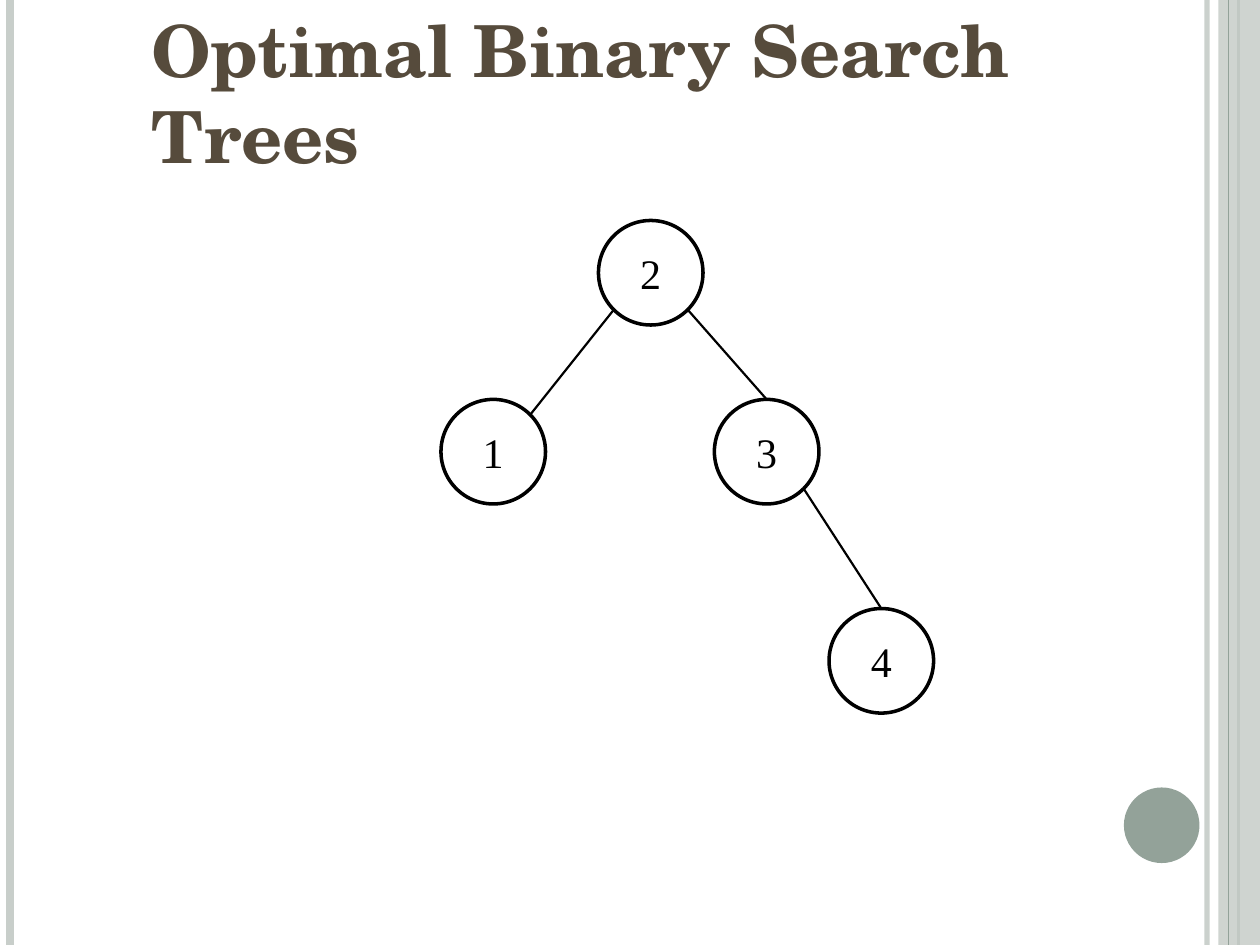
"""Build a slide showing a binary search tree with four nodes."""
from math import sqrt

from pptx import Presentation
from pptx.dml.color import RGBColor
from pptx.enum import shapes as kinds, text as layout
from pptx.oxml.ns import qn
from pptx.util import Inches, Pt
from lxml import etree

BLACK = RGBColor(0x00, 0x00, 0x00)
BROWN = RGBColor(0x56, 0x4B, 0x3C)
SAGE = RGBColor(0x93, 0xA2, 0x99)
PALE = RGBColor(0xC8, 0xCE, 0xCA)

deck = Presentation()
deck.slide_width, deck.slide_height = Inches(10), Inches(7.5)
slide = deck.slides.add_slide(deck.slide_layouts[6])


def write(frame, words, *, size, font, color, bold=False,
          align=layout.PP_ALIGN.LEFT, anchor=layout.MSO_ANCHOR.TOP):
    frame.word_wrap = True
    frame.vertical_anchor = anchor
    paragraph = frame.paragraphs[0]
    paragraph.alignment = align
    run = paragraph.add_run()
    run.text = words
    run.font.size, run.font.name, run.font.bold = Pt(size), font, bold
    run.font.color.rgb = color


def draw_line(x1, y1, x2, y2, color, width):
    line = slide.shapes.add_connector(
        kinds.MSO_CONNECTOR.STRAIGHT, Inches(x1), Inches(y1), Inches(x2), Inches(y2))
    line.line.color.rgb, line.line.width = color, Pt(width)
    etree.SubElement(line._element.spPr, qn("a:effectLst"))
    return line


inner_rule = draw_line(9.58, 0, 9.58, 7.5, PALE, 3)
draw_line(0.08, 0, 0.08, 7.5, PALE, 4.5)
draw_line(9.83, 0, 9.83, 7.5, SAGE, 1.5)
side_band = slide.shapes.add_shape(
    kinds.MSO_SHAPE.RECTANGLE, Inches(9.67), 0, Inches(0.33), Inches(7.5))
draw_line(9.75, 0, 9.75, 7.5, SAGE, 0.75)
corner_dot = slide.shapes.add_shape(
    kinds.MSO_SHAPE.OVAL, Inches(8.92), Inches(6.25), Inches(0.6), Inches(0.6))
for decoration, color in ((side_band, PALE), (corner_dot, SAGE)):
    decoration.shadow.inherit = False
    decoration.fill.solid()
    decoration.fill.fore_color.rgb = color
    decoration.line.fill.background()
for faded, opacity in ((inner_rule, 93), (side_band, 87)):
    tint = next(faded._element.spPr.iter(qn("a:srgbClr")))
    etree.SubElement(tint, qn("a:alpha"), val=str(opacity * 1000))

heading = slide.shapes.add_textbox(Inches(1.1), 0, Inches(8.15), Inches(0.79))
write(heading.text_frame, "Optimal Binary Search Trees",
      size=41, font="TeX Gyre Schola", color=BROWN, bold=True)

DIAMETER = 0.83
RADIUS = DIAMETER / 2
DIAGONAL = RADIUS / sqrt(2)
nodes = {"2": (4.75, 1.75), "4": (6.58, 4.83), "3": (5.67, 3.17), "1": (3.5, 3.17)}
for key, (left, top) in nodes.items():
    node = slide.shapes.add_shape(
        kinds.MSO_SHAPE.OVAL, Inches(left), Inches(top), Inches(DIAMETER), Inches(DIAMETER))
    node.shadow.inherit = False
    node.fill.background()
    node.line.color.rgb, node.line.width = BLACK, Pt(2)
    write(node.text_frame, key, size=24, font="Times New Roman", color=BLACK,
          align=layout.PP_ALIGN.CENTER, anchor=layout.MSO_ANCHOR.MIDDLE)

lower_left, lower_right = (-DIAGONAL, DIAGONAL), (DIAGONAL, DIAGONAL)
upper_right, crown = (DIAGONAL, -DIAGONAL), (0, -RADIUS)
edges = (
    ("2", lower_left, "1", upper_right),
    ("2", lower_right, "3", crown),
    ("3", lower_right, "4", crown),
)
for parent, leave, child, arrive in edges:
    start = [corner + RADIUS + shift for corner, shift in zip(nodes[parent], leave)]
    end = [corner + RADIUS + shift for corner, shift in zip(nodes[child], arrive)]
    draw_line(*start, *end, BLACK, 1.25)

deck.save("out.pptx")
